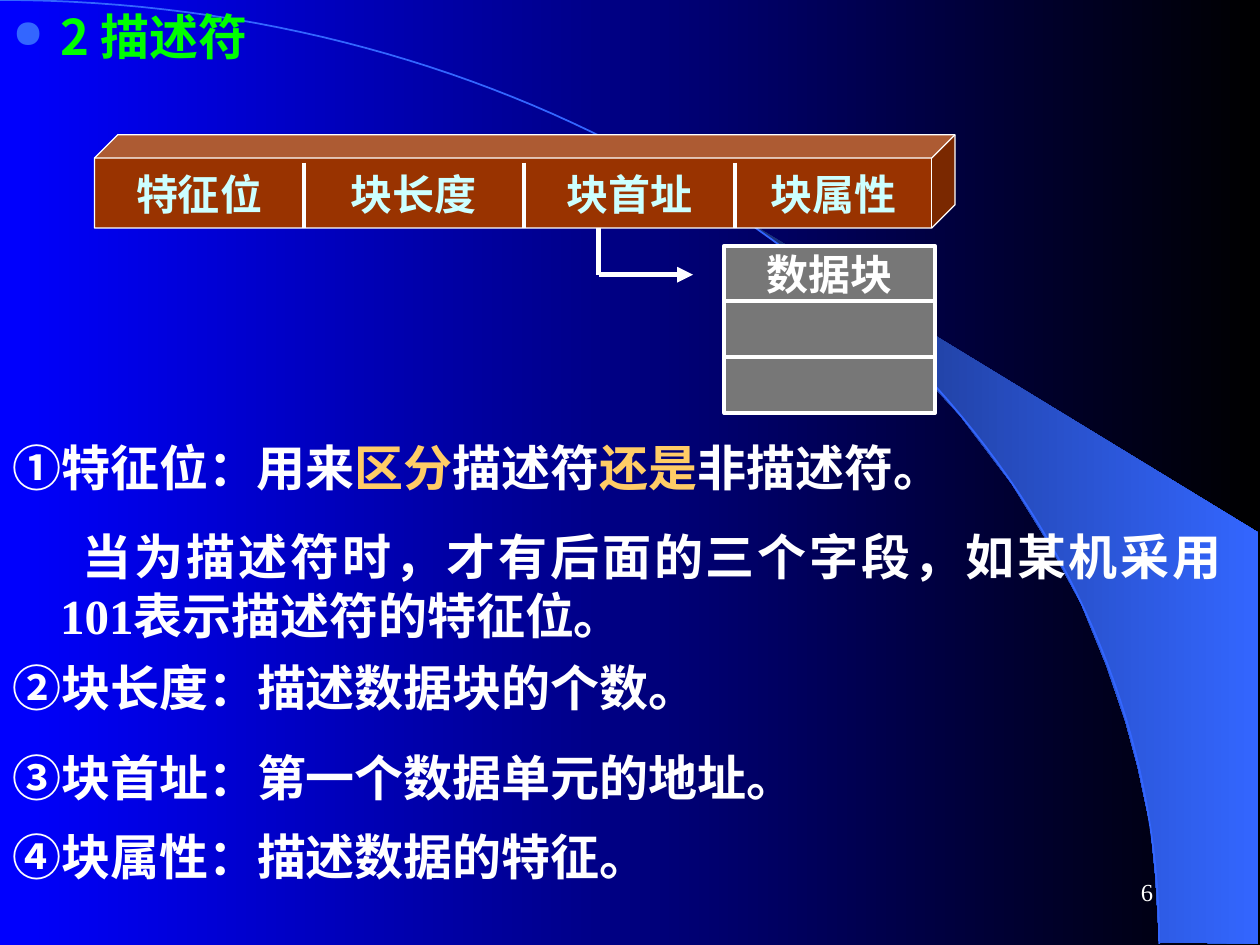
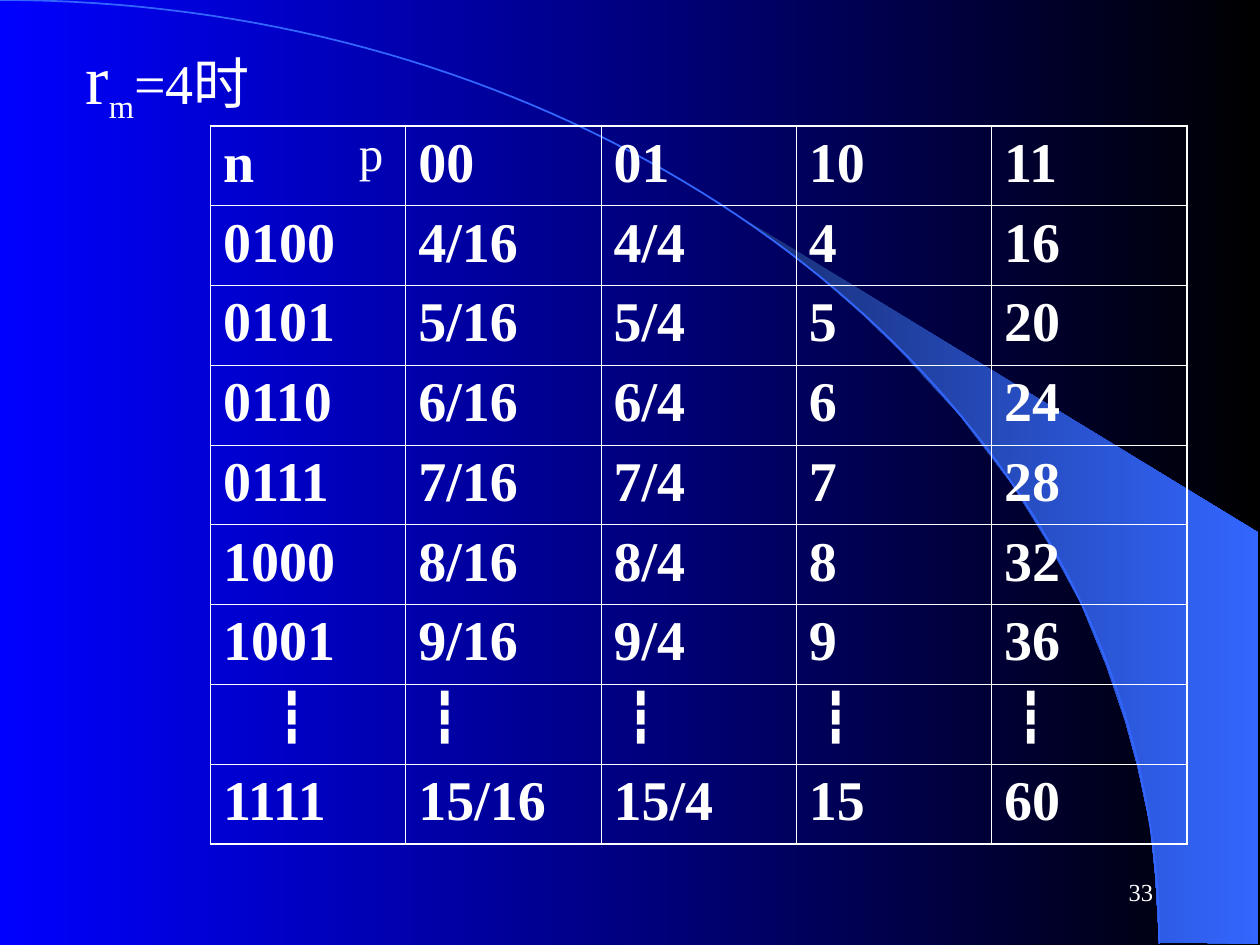
from lxml.etree import SubElement
from pptx import Presentation
from pptx.dml.color import RGBColor
from pptx.enum.shapes import MSO_CONNECTOR as Connector, MSO_SHAPE as Shape
from pptx.enum.text import MSO_ANCHOR as Anchor, MSO_AUTO_SIZE as AutoSize, PP_ALIGN as Align
from pptx.oxml.ns import qn
from pptx.util import Inches, Pt

WHITE, GOLD, GREEN, CYAN = "FFFFFF", "FFCC66", "00FF00", "CCFFFF"
BLUE, NAVY, BROWN, GRAY = "3366FF", "182F76", "993300", "777777"
SERIF, SANS = "Times New Roman", "Noto Sans CJK SC"

WEDGE = [(9.2, 7.48), (9.99, 7.49), (9.99, 4.23), (5.89, 1.73), (6.24, 1.99), (6.53, 2.22),
         (6.85, 2.5), (7.16, 2.8), (7.62, 3.3), (8.03, 3.84), (8.32, 4.31), (8.58, 4.79),
         (8.78, 5.28), (8.93, 5.72), (9.03, 6.09), (9.13, 6.56), (9.17, 6.96), (9.2, 7.48)]
ARC = [(0, 0), (5.08, 0), (9.2, 3.35), (9.2, 7.49)]
ARC_STEPS = 80

FIELDS = ["特征位", "块长度", "块首址", "块属性"]
FIELD_EDGES = [0.75, 2.41, 4.16, 5.83, 7.4]
CUBE_BOX = (0.75, 1.07, 6.83, 0.74)
FACE_TOP, FACE_HEIGHT = 1.26, 0.55
POINTER = [(4.75, 1.81), (4.75, 2.18), (5.5, 2.18)]
BLOCK_LABELS = ["数据块", "", ""]
BLOCK_BOX = (5.75, 1.95, 1.67, 1.33)

FLAG_NOTE = [
    [("①特征位：用来", {}), ("区分", {"color": GOLD}), ("描述符", {}),
     ("还是", {"color": GOLD}), ("非描述符。", {})],
    [("当为描述符时，才有后面的三个字段，如某机采用101表示描述符的特征位。", {})],
]
FIELD_NOTES = [
    (5.17, "②块长度：描述数据块的个数。"),
    (5.88, "③块首址：第一个数据单元的地址。"),
    (6.51, "④块属性：描述数据的特征。"),
]

DOTS = "┇"
TABLE_ROWS = [["n", "00", "01", "10", "11"]]
TABLE_ROWS += [[f"{n:04b}", f"{n}/16", f"{n}/4", str(n), str(n * 4)] for n in range(4, 10)]
TABLE_ROWS += [[DOTS] * 5, ["1111", "15/16", "15/4", "15", "60"]]
TABLE_BOX = (1.67, 1, 7.75, 5.7)


def rgb(value):
    """Turn a hex string into a colour."""
    return RGBColor.from_string(value)


def inches(values):
    """Turn numbers into lengths."""
    return [Inches(value) for value in values]


def set_gradient(fill, colors):
    """Fill from left to right between two colours."""
    fill.gradient()
    fill.gradient_angle = 0
    for stop, color in zip(fill.gradient_stops, colors):
        stop.color.rgb = rgb(color)


def set_line(line, color, width):
    """Set the colour and width of a line."""
    line.color.rgb = rgb(color)
    line.width = Pt(width)


def set_font(font, color=WHITE, size=28, **values):
    """Apply format values to a font."""
    font.color.rgb = rgb(color)
    for name, value in {"name": SERIF, "bold": False, "size": Pt(size), **values}.items():
        setattr(font, name, value)


def write_text(frame, paragraphs, anchor=Anchor.TOP, align=Align.LEFT, wrap=True, **base):
    """Fill a text frame with paragraphs made of runs."""
    settings = {"word_wrap": wrap, "auto_size": AutoSize.NONE, "vertical_anchor": anchor}
    for name, value in settings.items():
        setattr(frame, name, value)
    for index, runs in enumerate(paragraphs):
        paragraph = frame.add_paragraph() if index else frame.paragraphs[0]
        paragraph.alignment = align
        for text, changes in runs:
            run = paragraph.add_run()
            run.text = text
            set_font(run.font, **{**base, **changes})


def add_text(slide, box, paragraphs, **settings):
    """Add a text box and return its frame."""
    frame = slide.shapes.add_textbox(*inches(box)).text_frame
    write_text(frame, paragraphs, **settings)
    return frame


def add_box(slide, kind, box, fill, line_width):
    """Add a filled shape with a white outline."""
    shape = slide.shapes.add_shape(kind, *inches(box))
    shape.shadow.inherit = False
    shape.fill.solid()
    shape.fill.fore_color.rgb = rgb(fill)
    set_line(shape.line, WHITE, line_width)
    return shape


def add_line(slide, start, end, width, arrow=False):
    """Add a white line, with an arrowhead if wanted."""
    connector = slide.shapes.add_connector(Connector.STRAIGHT, *inches(start + end))
    set_line(connector.line, WHITE, width)
    properties = connector.element.spPr
    if arrow:
        SubElement(properties.find(qn("a:ln")), qn("a:tailEnd"), type="triangle")
    SubElement(properties, qn("a:effectLst"))


def add_outline(slide, points, close):
    """Add a freeform through the given points."""
    first, *rest = [inches(point) for point in points]
    builder = slide.shapes.build_freeform(*first)
    builder.add_line_segments(rest, close=close)
    shape = builder.convert_to_shape()
    shape.shadow.inherit = False
    return shape


def arc_point(step):
    """Find a point of the cubic curve."""
    t = step / ARC_STEPS
    weights = ((1 - t) ** 3, 3 * t * (1 - t) ** 2, 3 * t * t * (1 - t), t ** 3)
    return [sum(w * point[axis] for w, point in zip(weights, ARC)) for axis in (0, 1)]


def decorate_master(master, slide):
    """Give the master its background, wedge and arc."""
    set_gradient(master.background.fill, ("0000FF", "000000"))
    wedge = add_outline(slide, WEDGE, True)
    set_gradient(wedge.fill, (NAVY, BLUE))
    wedge.line.fill.background()
    arc = add_outline(slide, [arc_point(step) for step in range(ARC_STEPS + 1)], False)
    arc.fill.background()
    set_line(arc.line, BLUE, 1)
    for position, shape in enumerate((wedge, arc), 2):
        master.shapes.element.insert(position, shape.element)


def start_slide(slide, number, box, runs, **settings):
    """Place the title and the page number."""
    title = slide.shapes.title
    title.left, title.top, title.width, title.height = inches(box)
    write_text(title.text_frame, [runs], **settings)
    add_text(slide, (7.17, 6.83, 2.08, 0.5), [[(str(number), {})]],
             anchor=Anchor.MIDDLE, align=Align.RIGHT, size=14)
    return title.text_frame.paragraphs[0]


def set_indent(paragraph, left, first):
    """Set the left margin and first-line indent."""
    properties = paragraph._p.get_or_add_pPr()
    properties.set("marL", str(Inches(left)))
    properties.set("indent", str(Inches(first)))
    return properties


def build_descriptor(slide):
    """Build the slide about descriptors."""
    title = start_slide(slide, 6, (0, 0, 9.8, 0.7), [("2 描述符", {})],
                        name=SANS, color=GREEN, bold=True)
    properties = set_indent(title, 0.38, -0.38)
    color = SubElement(properties, qn("a:buClr"))
    SubElement(color, qn("a:srgbClr"), val=BLUE)
    SubElement(properties, qn("a:buSzPct"), val="80000")
    SubElement(properties, qn("a:buChar"), char="●")

    note = add_text(slide, (0, 3.42, 9.8, 1.75), FLAG_NOTE, align=Align.JUSTIFY, bold=True)
    for paragraph, first in zip(note.paragraphs, (-0.38, 0.18)):
        set_indent(paragraph, 0.38, first)
    note.paragraphs[1].space_before = Pt(17.5)
    for top, text in FIELD_NOTES:
        add_text(slide, (0, top, 7.52, 0.57), [[(text, {})]], bold=True)

    add_box(slide, Shape.CUBE, CUBE_BOX, BROWN, 0.75)
    for label, left, right in zip(FIELDS, FIELD_EDGES, FIELD_EDGES[1:]):
        add_text(slide, (left, FACE_TOP, right - left, FACE_HEIGHT), [[(label, {})]],
                 anchor=Anchor.MIDDLE, align=Align.CENTER, color=CYAN, size=24, bold=True)
    for edge in FIELD_EDGES[1:-1]:
        add_line(slide, (edge, 1.29), (edge, 1.81), 2.25)
    add_line(slide, POINTER[0], POINTER[1], 3)
    add_line(slide, POINTER[1], POINTER[2], 3, arrow=True)

    left, top, width, total = BLOCK_BOX
    height = total / len(BLOCK_LABELS)
    for index, label in enumerate(BLOCK_LABELS):
        block = add_box(slide, Shape.RECTANGLE, (left, top + index * height, width, height),
                        GRAY, 2.25)
        if label:
            write_text(block.text_frame, [[(label, {})]], anchor=Anchor.MIDDLE,
                       align=Align.CENTER, wrap=False, size=24, bold=True)


def set_borders(cell, widths):
    """Draw the white borders of a cell."""
    properties = cell._tc.get_or_add_tcPr()
    for position, (side, width) in enumerate(widths.items()):
        line = properties.makeelement(qn(f"a:ln{side}"), {"w": str(Pt(width))})
        fill = SubElement(line, qn("a:solidFill"))
        SubElement(fill, qn("a:srgbClr"), val=WHITE)
        properties.insert(position, line)


def build_values(slide):
    """Build the slide with the table of values."""
    runs = [("r", {"size": 40}), ("m", {}), ("=4时", {})]
    title = start_slide(slide, 33, (0.58, 0.17, 7, 0.92), runs, anchor=Anchor.MIDDLE, size=32)
    title.runs[1]._r.get_or_add_rPr().set("baseline", "-25000")

    row_count, column_count = len(TABLE_ROWS), len(TABLE_ROWS[0])
    table = slide.shapes.add_table(row_count, column_count, *inches(TABLE_BOX)).table
    table.first_row = table.horz_banding = False
    for column in table.columns:
        column.width = Inches(TABLE_BOX[2] / column_count)
    for r, values in enumerate(TABLE_ROWS):
        table.rows[r].height = Inches(TABLE_BOX[3] / row_count)
        for c, value in enumerate(values):
            cell = table.cell(r, c)
            cell.fill.background()
            run = cell.text_frame.paragraphs[0].add_run()
            run.text = value
            set_font(run.font, size=28 if value == DOTS else 32, bold=True)
            if value == DOTS:
                cell.margin_left = Inches(0.2 if c else 0.53)
            outer = {"L": c == 0, "R": c == column_count - 1,
                     "T": r == 0, "B": r == row_count - 1}
            set_borders(cell, {side: 1.08 if edge else 0.45 for side, edge in outer.items()})
    add_text(slide, (2.75, 0.92, 0.5, 0.57), [[("p", {})]])


def main():
    """Build and save the presentation."""
    presentation = Presentation()
    presentation.slide_width, presentation.slide_height = Inches(10), Inches(7.5)
    layout = presentation.slide_layouts[5]
    descriptor, values = [presentation.slides.add_slide(layout) for _ in range(2)]
    decorate_master(presentation.slide_master, descriptor)
    build_descriptor(descriptor)
    build_values(values)
    presentation.save("out.pptx")


if __name__ == "__main__":
    main()
